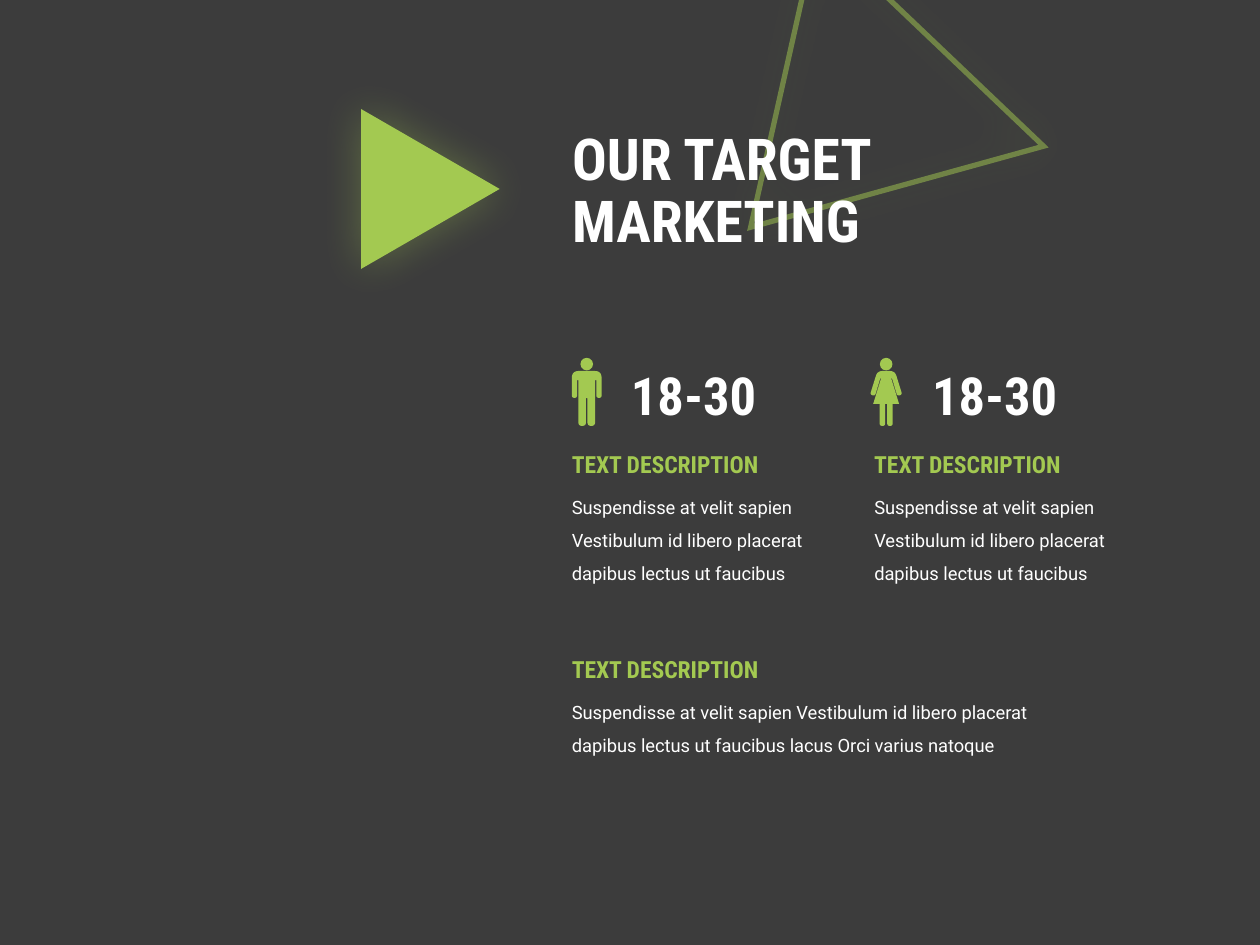
from lxml.etree import SubElement
from pptx import Presentation
from pptx.dml.color import RGBColor
from pptx.enum.shapes import MSO_SHAPE
from pptx.enum.text import MSO_ANCHOR, MSO_AUTO_SIZE, PP_ALIGN
from pptx.oxml.ns import qn
from pptx.util import Pt

GREEN, WHITE, DARK = "A3C951", "FFFFFF", "3C3C3C"

TITLE = "OUR TARGET\vMARKETING"
HEADING = "TEXT DESCRIPTION"
SHORT_TEXT = "Suspendisse at velit sapien Vestibulum id libero placerat dapibus lectus ut faucibus"
LONG_TEXT = SHORT_TEXT + " lacus Orci varius natoque"

FORMATS = {
    "title": {"name": "Roboto Condensed", "size": Pt(33), "bold": True, "color": WHITE},
    "number": {"name": "Roboto Condensed", "size": Pt(30), "bold": True, "color": WHITE},
    "heading": {"name": "Roboto Condensed", "size": Pt(13.5), "bold": True, "color": GREEN},
    "body": {"name": "Roboto", "size": Pt(10.5), "bold": False, "color": WHITE},
}

# Right half of each figure: distance from axis, distance from shoulders, corner radius
MAN = [(0, 0, 0), (8.5, 0, 4), (8.5, 15.4, 1.5), (5.5, 15.4, 1.5), (5.5, 5.2, 0),
       (4.8, 5.2, 0), (4.8, 31.4, 2.2), (0.4, 31.4, 2.2), (0.4, 15.5, 0), (0, 15.5, 0)]
WOMAN = [(0, 0, 0), (5, 0, 3), (9.2, 13.5, 1.4), (6.4, 14.3, 1.4), (3.4, 4.3, 0),
         (2.9, 4.3, 0), (7.4, 18.9, 0), (3.7, 18.9, 0), (3.7, 31.4, 1.5),
         (0.6, 31.4, 1.5), (0.6, 18.9, 0), (0, 18.9, 0)]

LEFT = 319.7
GROUPS = [
    {"left": LEFT, "top": 253.4, "width": 154, "height": 62.6, "text": SHORT_TEXT,
     "number": "18-30", "number_left": 353.5, "figure": MAN, "axis": 335.3},
    {"left": 492.5, "top": 253.4, "width": 154, "height": 62.6, "text": SHORT_TEXT,
     "number": "18-30", "number_left": 525.6, "figure": WOMAN, "axis": 506.4},
    {"left": LEFT, "top": 370.8, "width": 277.2, "height": 43.2, "text": LONG_TEXT},
]
NUMBER_TOP, HEAD_TOP, SHOULDER_TOP = 203.8, 204.5, 212
HEAD_SIZE, BODY_OFFSET = 7.2, 20.2


def color(value):
    return RGBColor.from_string(value)


def write(shape, text, kind, line_spacing=None):
    frame = shape.text_frame
    frame.text = text
    frame.word_wrap = True
    paragraph = frame.paragraphs[0]
    paragraph.alignment = PP_ALIGN.LEFT
    paragraph.line_spacing = line_spacing
    for run in paragraph.runs:
        for attribute, value in FORMATS[kind].items():
            if attribute == "color":
                run.font.color.rgb = color(value)
            else:
                setattr(run.font, attribute, value)


def add_text(slide, box, text, kind, line_spacing=None):
    shape = slide.shapes.add_textbox(*map(Pt, box))
    write(shape, text, kind, line_spacing)
    shape.text_frame.auto_size = MSO_AUTO_SIZE.SHAPE_TO_FIT_TEXT


def paint(shape):
    shape.shadow.inherit = False
    shape.fill.solid()
    shape.fill.fore_color.rgb = color(GREEN)
    shape.line.fill.background()


def add_alpha(color_element, percent):
    SubElement(color_element, qn("a:alpha"), val=str(percent * 1000))


def add_triangle(slide, box, rotation):
    shape = slide.shapes.add_shape(MSO_SHAPE.ISOSCELES_TRIANGLE, *map(Pt, box))
    shape.rotation = rotation
    paint(shape)
    effects = shape.element.spPr.find(qn("a:effectLst"))
    shadow = SubElement(effects, qn("a:outerShdw"), blurRad=str(Pt(25)), dist="0",
                        dir="0", algn="ctr", rotWithShape="0")
    add_alpha(SubElement(shadow, qn("a:srgbClr"), val=GREEN), 35)
    return shape


def round_corners(points, steps=6):
    result = []
    for index, (x, y, radius) in enumerate(points):
        if not radius:
            result.append((x, y))
            continue
        ends = []
        for other_x, other_y, _ in (points[index - 1], points[index + 1]):
            length = ((other_x - x) ** 2 + (other_y - y) ** 2) ** 0.5
            ends.append((x + (other_x - x) * radius / length,
                         y + (other_y - y) * radius / length))
        (x1, y1), (x2, y2) = ends
        for step in range(steps + 1):
            t = step / steps
            a, b, c = (1 - t) ** 2, 2 * t * (1 - t), t ** 2
            result.append((a * x1 + b * x + c * x2, a * y1 + b * y + c * y2))
    return result


def add_figure(slide, half, axis):
    shapes = slide.shapes.add_group_shape().shapes
    paint(shapes.add_shape(MSO_SHAPE.OVAL, Pt(axis - HEAD_SIZE / 2), Pt(HEAD_TOP),
                           Pt(HEAD_SIZE), Pt(HEAD_SIZE)))
    right = round_corners(half)
    outline = right + [(-x, y) for x, y in reversed(right[1:-1])]
    points = [(Pt(axis + x), Pt(SHOULDER_TOP + y)) for x, y in outline]
    builder = shapes.build_freeform(*points[0])
    builder.add_line_segments(points[1:], close=True)
    paint(builder.convert_to_shape())


def main():
    presentation = Presentation()
    presentation.slide_width, presentation.slide_height = Pt(720), Pt(540)
    slide = presentation.slides.add_slide(presentation.slide_layouts[0])
    slide.background.fill.solid()
    slide.background.fill.fore_color.rgb = color(DARK)
    subtitle = slide.placeholders[1].element
    subtitle.getparent().remove(subtitle)

    title = slide.shapes.title
    title.left, title.top, title.width, title.height = map(Pt, (LEFT, 53.3, 303.8, 113.8))
    write(title, TITLE, "title", 0.9)
    title.text_frame.vertical_anchor = MSO_ANCHOR.MIDDLE
    title.text_frame.auto_size = MSO_AUTO_SIZE.NONE

    outline = add_triangle(slide, (391, 1.4, 178.6, 149), 223.6)
    outline.fill.background()
    outline.line.color.rgb = color(GREEN)
    outline.line.width = Pt(3)
    line = outline.element.spPr.find(qn("a:ln"))
    add_alpha(line.find(".//" + qn("a:srgbClr")), 50)
    SubElement(line, qn("a:miter"), lim="800000")
    title.element.addprevious(outline.element)

    add_triangle(slide, (200.2, 68.4, 91.4, 79.2), 90)

    for group in GROUPS:
        left, top = group["left"], group["top"]
        if "figure" in group:
            add_figure(slide, group["figure"], group["axis"])
            add_text(slide, (group["number_left"], NUMBER_TOP, 96.5, 43.9),
                     group["number"], "number")
        add_text(slide, (left, top + BODY_OFFSET, group["width"], group["height"]),
                 group["text"], "body", 1.5)
        add_text(slide, (left, top, 132.5, 23.8), HEADING, "heading")

    presentation.save("out.pptx")


if __name__ == "__main__":
    main()
